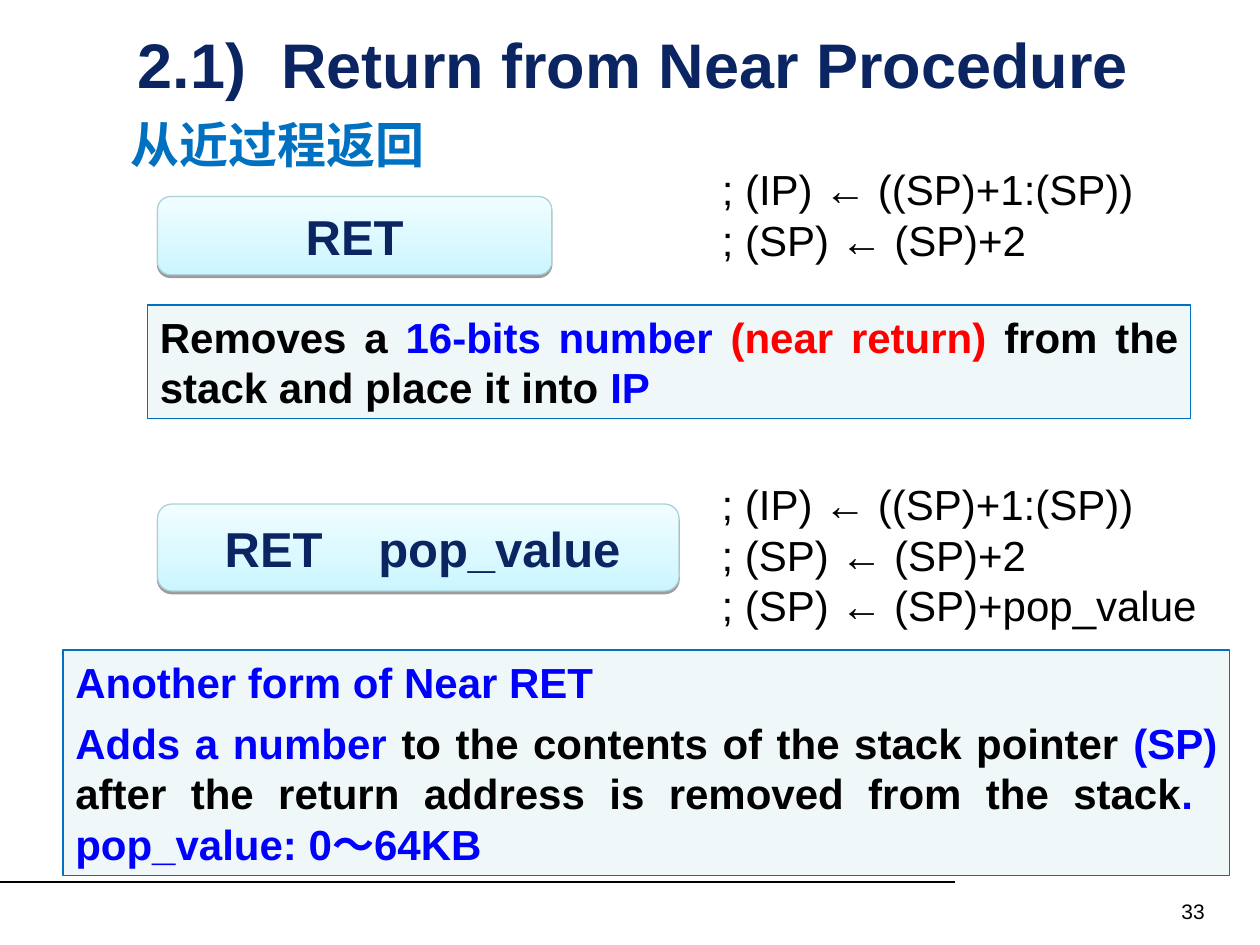
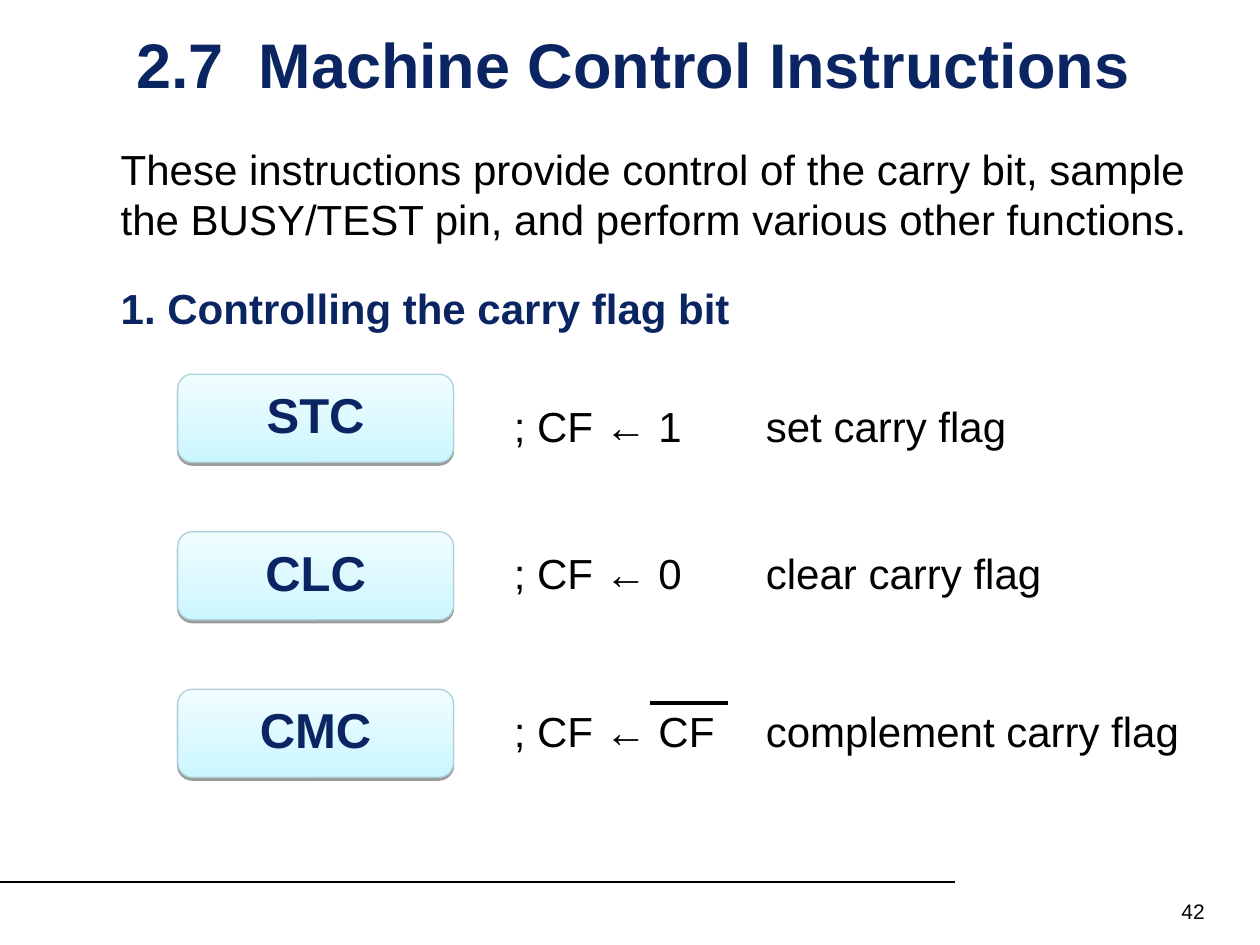
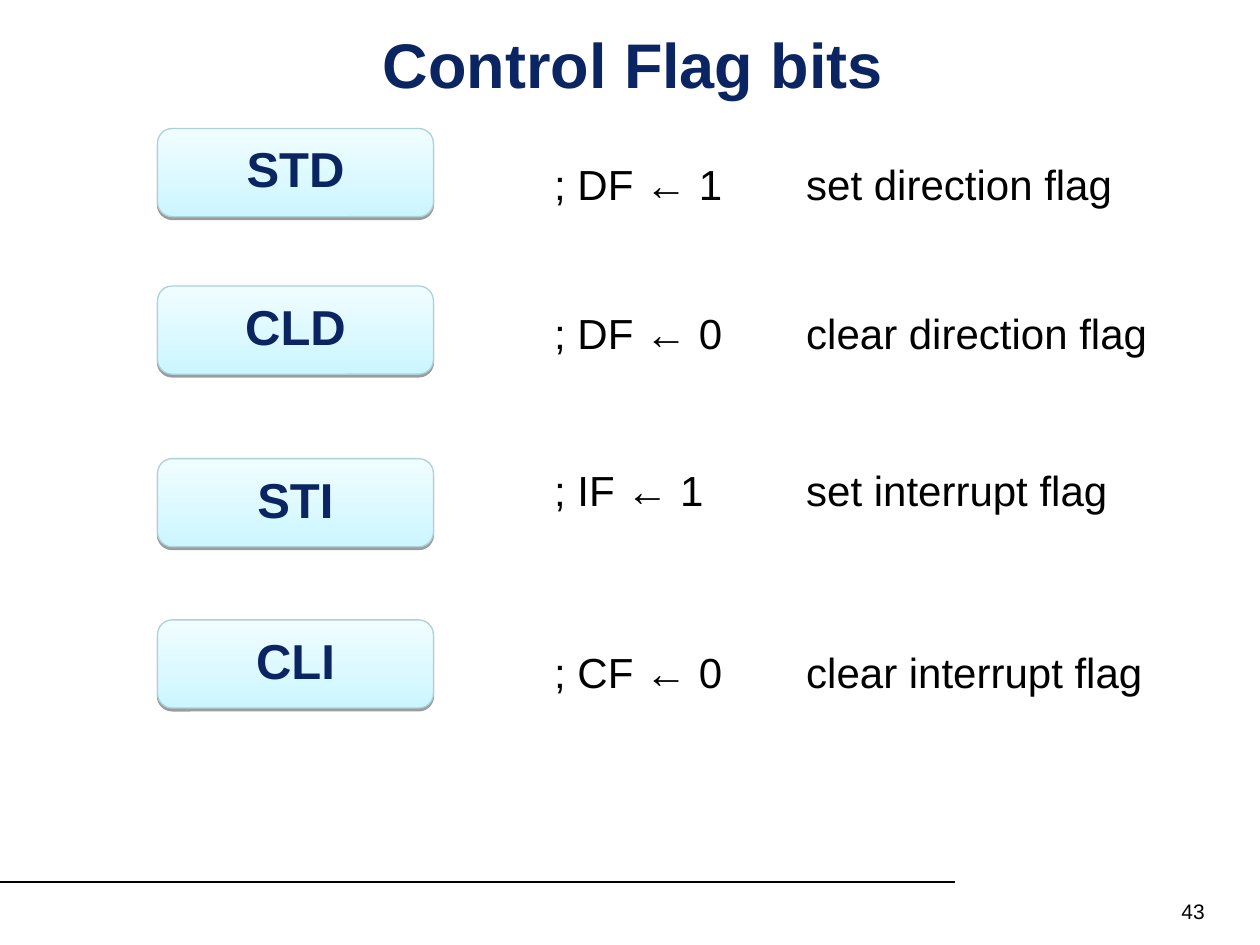
from lxml import etree
from pptx import Presentation
from pptx.dml.color import RGBColor
from pptx.enum.shapes import MSO_CONNECTOR as Connector, MSO_SHAPE as Shape
from pptx.enum.text import MSO_ANCHOR as Anchor, MSO_AUTO_SIZE as AutoSize, PP_ALIGN as Align
from pptx.oxml.ns import qn
from pptx.util import Inches, Pt

NAVY = RGBColor(0x0A, 0x25, 0x62)
SKY = RGBColor(0x00, 0x70, 0xC0)
BLUE = RGBColor(0x00, 0x00, 0xFF)
RED = RGBColor(0xFF, 0x00, 0x00)
BLACK = RGBColor(0x00, 0x00, 0x00)
NOTE_FILL = RGBColor(0xF0, 0xF7, 0xF8)
BUTTON_BOTTOM = RGBColor(0xCC, 0xF6, 0xFF)
BUTTON_TOP = RGBColor(0xF0, 0xFD, 0xFF)
BUTTON_EDGE = RGBColor(0xAD, 0xD1, 0xD8)

FONT = "Arial"
BUTTON_SIZE = (2.19, 0.7)
DESCRIPTION_TAB = 2


def add_tab_stop(paragraph, position):
    stops = etree.SubElement(paragraph._p.get_or_add_pPr(), qn("a:tabLst"))
    etree.SubElement(stops, qn("a:tab"), pos=str(Inches(position)), algn="l")


def add_drop_shadow(shape):
    effects = etree.SubElement(shape._element.spPr, qn("a:effectLst"))
    shadow = etree.SubElement(effects, qn("a:outerShdw"), blurRad="0", dist=str(Pt(1.6)),
                              dir="5400000", rotWithShape="0")
    color = etree.SubElement(shadow, qn("a:srgbClr"), val=str(BLACK))
    etree.SubElement(color, qn("a:alpha"), val="38000")


class Lecture:
    def __init__(self):
        self.deck = Presentation()
        self.deck.slide_width, self.deck.slide_height = Inches(10), Inches(7.5)
        self.slide = None

    def new_slide(self, title, number):
        self.slide = self.deck.slides.add_slide(self.deck.slide_layouts[6])
        self.line((0, 7), (7.58, 7), 0.75)
        heading = self.text((0.5, 0.25, 9.05, 0.5), [title], 36, NAVY, True, Align.CENTER)
        heading.text_frame.vertical_anchor = Anchor.MIDDLE
        self.text((7.33, 7.08, 2.33, 0.27), [number], 12, align=Align.RIGHT)

    def line(self, start, end, width):
        rule = self.slide.shapes.add_connector(
            Connector.STRAIGHT, *(Inches(value) for value in start + end))
        rule.line.color.rgb = BLACK
        rule.line.width = Pt(width)
        etree.SubElement(rule._element.spPr, qn("a:effectLst"))

    def fill_frame(self, frame, paragraphs, size, color, bold, align, space_before=0, tab=None):
        """Fill a frame; a paragraph is a string or a list of (text, colour) runs."""
        frame.word_wrap = True
        frame.vertical_anchor = Anchor.TOP
        for index, content in enumerate(paragraphs):
            paragraph = frame.paragraphs[0] if index == 0 else frame.add_paragraph()
            paragraph.alignment = align
            if index and space_before:
                paragraph.space_before = Pt(space_before)
            if tab:
                add_tab_stop(paragraph, tab)
            font = paragraph.font
            font.name, font.size, font.bold = FONT, Pt(size), bold
            font.color.rgb = color
            runs = [(content, color)] if isinstance(content, str) else content
            for words, run_color in runs:
                run = paragraph.add_run()
                run.text = words
                if run_color != color:
                    run.font.color.rgb = run_color

    def text(self, box, paragraphs, size=24, color=BLACK, bold=False, align=Align.LEFT, tab=None):
        textbox = self.slide.shapes.add_textbox(*map(Inches, box))
        self.fill_frame(textbox.text_frame, paragraphs, size, color, bold, align, tab=tab)
        return textbox

    def note(self, box, paragraphs):
        panel = self.slide.shapes.add_shape(Shape.RECTANGLE, *map(Inches, box))
        panel.shadow.inherit = False
        panel.fill.solid()
        panel.fill.fore_color.rgb = NOTE_FILL
        panel.line.color.rgb = SKY
        panel.line.width = Pt(0.75)
        self.fill_frame(panel.text_frame, paragraphs, 24, BLACK, True, Align.JUSTIFY, space_before=6)
        panel.text_frame.auto_size = AutoSize.SHAPE_TO_FIT_TEXT

    def button(self, box, label, anchor=Anchor.TOP, operand_tab=None):
        """Draw an instruction; operand_tab left-aligns it and places its operand."""
        button = self.slide.shapes.add_shape(Shape.ROUNDED_RECTANGLE, *map(Inches, box))
        button.fill.gradient()
        button.fill.gradient_angle = 90
        for stop, color in zip(button.fill.gradient_stops, (BUTTON_BOTTOM, BUTTON_TOP)):
            stop.color.rgb = color
        button.line.color.rgb = BUTTON_EDGE
        button.line.width = Pt(0.75)
        add_drop_shadow(button)
        frame = button.text_frame
        align = Align.LEFT if operand_tab else Align.CENTER
        self.fill_frame(frame, [label], 28, NAVY, True, align, tab=operand_tab)
        frame.vertical_anchor = anchor
        if operand_tab:
            frame.margin_left = Inches(0.5)

    def instructions(self, button_left, effect_left, effect_width, rows):
        """Rows are (name, button top, effect, effect top)."""
        for name, button_top, effect, effect_top in rows:
            self.button((button_left, button_top, *BUTTON_SIZE), name)
            self.text((effect_left, effect_top, effect_width, 0.5), [effect], tab=DESCRIPTION_TAB)


def near_return(lecture):
    lecture.new_slide("2.1)  Return from Near Procedure", "33")
    lecture.text((0.94, 0.86, 6.95, 0.57), ["从近过程返回"], 28, SKY, True)
    pop_ip = ["; (IP) ← ((SP)+1:(SP))", "; (SP) ← (SP)+2"]

    lecture.button((1.25, 1.56, 3.13, 0.62), "RET", Anchor.MIDDLE)
    lecture.text((5.63, 1.25, 3.52, 0.9), pop_ip)
    lecture.button((1.25, 4, 4.14, 0.69), "RET\tpop_value", Anchor.MIDDLE, operand_tab=1.22)
    lecture.text((5.63, 3.75, 4.13, 1.3), pop_ip + ["; (SP) ← (SP)+pop_value"])

    lecture.note((1.17, 2.42, 8.28, 0.9), [[
        ("Removes a ", BLACK), ("16-bits number ", BLUE), ("(near return) ", RED),
        ("from the stack and place it into ", BLACK), ("IP", BLUE)]])
    lecture.note((0.5, 5.16, 9.26, 1.79), [
        [("Another form of Near RET", BLUE)],
        [("Adds a number ", BLUE), ("to the contents of the stack pointer ", BLACK),
         ("(SP) ", BLUE), ("after the return address is removed from the stack", BLACK),
         (".  pop_value: 0～64KB", BLUE)]])


def machine_control(lecture):
    lecture.new_slide("2.7  Machine Control Instructions", "42")
    lecture.text((0.86, 1.09, 8.69, 0.9), [
        "These instructions provide control of the carry bit, sample the BUSY/TEST pin, "
        "and perform various other functions."])
    lecture.text((0.86, 2.19, 5.39, 0.5), ["1. Controlling the carry flag bit"],
                 color=NAVY, bold=True)
    lecture.instructions(1.41, 3.98, 5.55, [
        ("STC", 2.97, "; CF ← 1\tset carry flag", 3.13),
        ("CLC", 4.22, "; CF ← 0\tclear carry flag", 4.3),
        ("CMC", 5.47, "; CF ← CF\tcomplement carry flag", 5.55)])
    lecture.line((5.16, 5.58), (5.78, 5.58), 2)


def control_flags(lecture):
    lecture.new_slide("Control Flag bits", "43")
    lecture.instructions(1.25, 4.3, 5.25, [
        ("STD", 1.02, "; DF ← 1\tset direction flag", 1.21),
        ("CLD", 2.27, "; DF ← 0\tclear direction flag", 2.39),
        ("STI", 3.64, "; IF ← 1\tset interrupt flag", 3.64),
        ("CLI", 4.92, "; CF ← 0\tclear interrupt flag", 5.08)])


def main():
    lecture = Lecture()
    near_return(lecture)
    machine_control(lecture)
    control_flags(lecture)
    lecture.deck.save("out.pptx")


if __name__ == "__main__":
    main()
